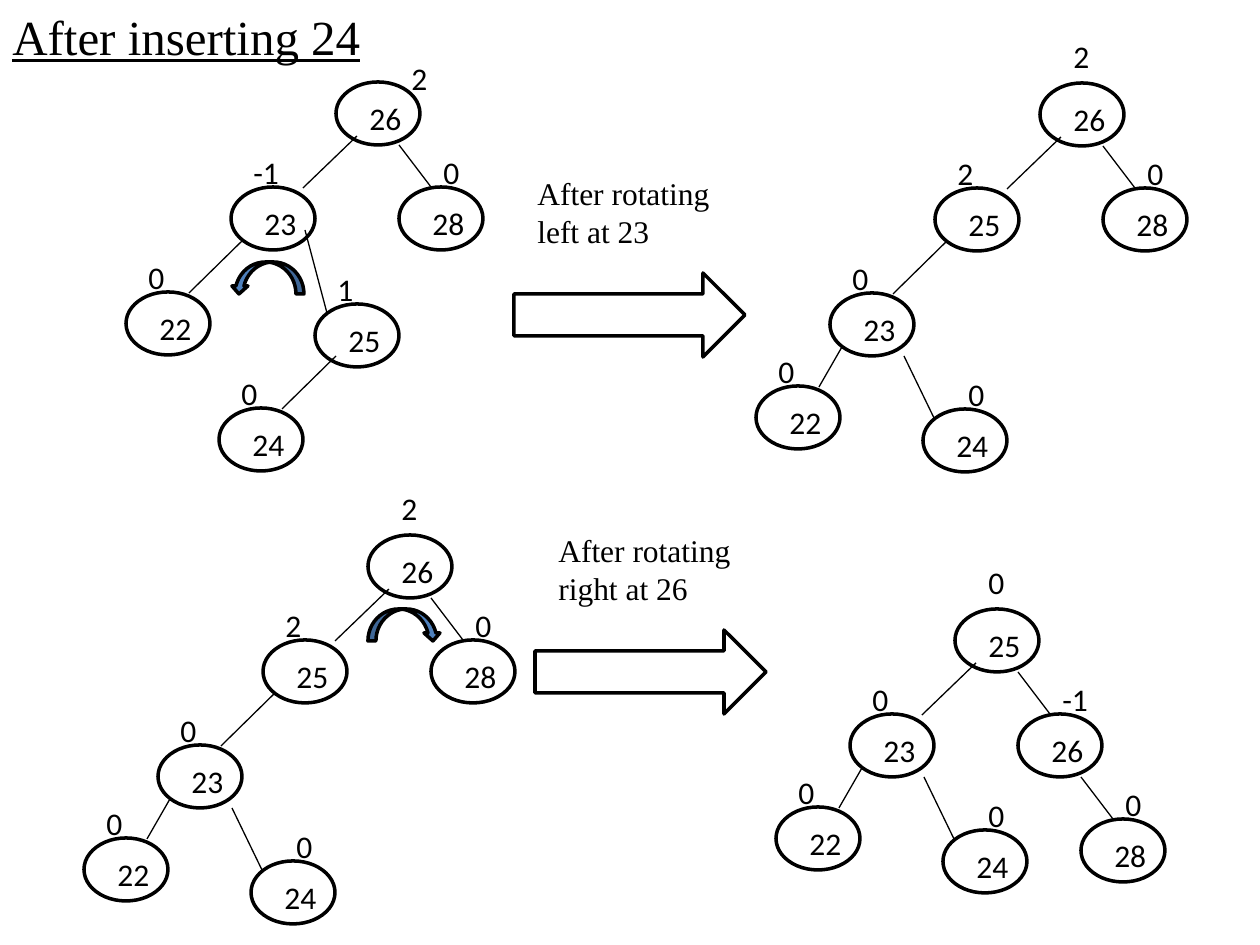
import pptx
import pptx.util
from pptx.dml.color import RGBColor
from pptx.enum.shapes import MSO_CONNECTOR, MSO_SHAPE
from pptx.enum.text import MSO_AUTO_SIZE
from pptx.oxml.xmlchemy import OxmlElement

BLACK = RGBColor(0x00, 0x00, 0x00)
WHITE = RGBColor(0xFF, 0xFF, 0xFF)
BLUE = RGBColor(0x4F, 0x81, 0xBD)
SERIF, SANS = "Times New Roman", "Calibri"
EMU_PER_PX = 914400 // 126

TITLE = "After inserting 24"
NODE_W, NODE_H = 84, 63

# Branch kinds: child offset from parent, line start in parent,
# line end in child, balance label offset from child.
BRANCHES = {
    "root left": ((-105, 105), (21, 54), (72, 1), (10, -40)),
    "left": ((-105, 105), (12, 53), (63, 1), (10, -40)),
    "right": ((63, 105), (63, 63), (32, 0), (32, -40)),
    "steep left": ((-74, 93), (12, 54), (63, 1), (10, -40)),
    "steep right": ((93, 116), (74, 63), (12, 11), (33, -40)),
    "inner right": ((84, 117), (74, 43), (12, 9), (10, -40)),
    "inner left": ((-96, 104), (21, 52), (63, 1), (10, -40)),
}

# Root: key, balance, position, label offset.
# Children: key, balance, parent key, branch kind.
LEFT_HEAVY = [
    ("28", "0", "26", "right"),
    ("25", "2", "26", "root left"),
    ("23", "0", "25", "left"),
    ("22", "0", "23", "steep left"),
    ("24", "0", "23", "steep right"),
]
TREES = [
    (("26", "2", (336, 82), (63, -29)), [
        ("28", "0", "26", "right"),
        ("23", "-1", "26", "root left"),
        ("22", "0", "23", "left"),
        ("25", "1", "23", "inner right"),
        ("24", "0", "25", "inner left"),
    ]),
    (("26", "2", (1040, 83), (21, -52)), LEFT_HEAVY),
    (("26", "2", (368, 535), (21, -52)), LEFT_HEAVY),
    (("25", "0", (955, 609), (21, -52)), [
        ("26", "-1", "25", "right"),
        ("23", "0", "25", "root left"),
        ("28", "0", "26", "right"),
        ("22", "0", "23", "steep left"),
        ("24", "0", "23", "steep right"),
    ]),
]

# Caption, arrow position, turn arrow position, turns left
ROTATIONS = [
    ("After rotating left at 23", (514, 273), (231, 262), True),
    ("After rotating right at 26", (535, 630), (368, 609), False),
]


def px(n):
    return pptx.util.Emu(n * EMU_PER_PX)


def shift(a, b):
    return a[0] + b[0], a[1] + b[1]


def add_text(slide, text, at, size, font=SANS, pt=18):
    box = slide.shapes.add_textbox(*map(px, at + size))
    tf = box.text_frame
    tf.word_wrap = True
    tf.auto_size = MSO_AUTO_SIZE.SHAPE_TO_FIT_TEXT
    p = tf.paragraphs[0]
    p.text = text
    p.font.name = font
    p.font.size = pptx.util.Pt(pt)
    p.font.color.rgb = BLACK
    return p


def add_outlined(slide, kind, at, size, fill=None):
    sp = slide.shapes.add_shape(kind, *map(px, at + size))
    sp.shadow.inherit = False
    if fill is None:
        sp.fill.background()
    else:
        sp.fill.solid()
        sp.fill.fore_color.rgb = fill
    sp.line.color.rgb = BLACK
    sp.line.width = pptx.util.Pt(2)
    return sp


def add_node(slide, key, balance, at, label_offset):
    add_outlined(slide, MSO_SHAPE.OVAL, at, (NODE_W, NODE_H), WHITE)
    add_text(slide, key, shift(at, (21, 11)), (73, 50))
    add_text(slide, balance, shift(at, label_offset), (53, 50))


def add_edge(slide, start, end):
    line = slide.shapes.add_connector(
        MSO_CONNECTOR.STRAIGHT, *map(px, start + end))
    line.line.color.rgb = BLACK
    line.line.width = pptx.util.Pt(0.75)
    line._element.spPr.append(OxmlElement("a:effectLst"))


def add_tree(slide, root, children):
    key, balance, at, label_offset = root
    places = {key: at}
    add_node(slide, *root)
    for key, balance, parent, kind in children:
        step, start, end, label_offset = BRANCHES[kind]
        places[key] = shift(places[parent], step)
        add_node(slide, key, balance, places[key], label_offset)
        add_edge(slide, shift(places[parent], start), shift(places[key], end))


def add_rotation(slide, caption, arrow_at, turn_at, turns_left):
    add_outlined(slide, MSO_SHAPE.RIGHT_ARROW, arrow_at, (231, 84))
    add_text(slide, caption, shift(arrow_at, (11, -105)), (199, 89), SERIF)
    turn = add_outlined(
        slide, MSO_SHAPE.CURVED_DOWN_ARROW, turn_at, (73, 32), BLUE)
    if turns_left:
        turn._element.spPr.xfrm.set("flipH", "1")


def main():
    prs = pptx.Presentation()
    prs.slide_width, prs.slide_height = px(1260), px(945)
    slide = prs.slides.add_slide(prs.slide_layouts[6])
    title = add_text(slide, TITLE, (0, 0), (1260, 69), SERIF, 28)
    title.font.underline = True
    for root, children in TREES:
        add_tree(slide, root, children)
    for rotation in ROTATIONS:
        add_rotation(slide, *rotation)
    prs.save("out.pptx")


if __name__ == "__main__":
    main()
